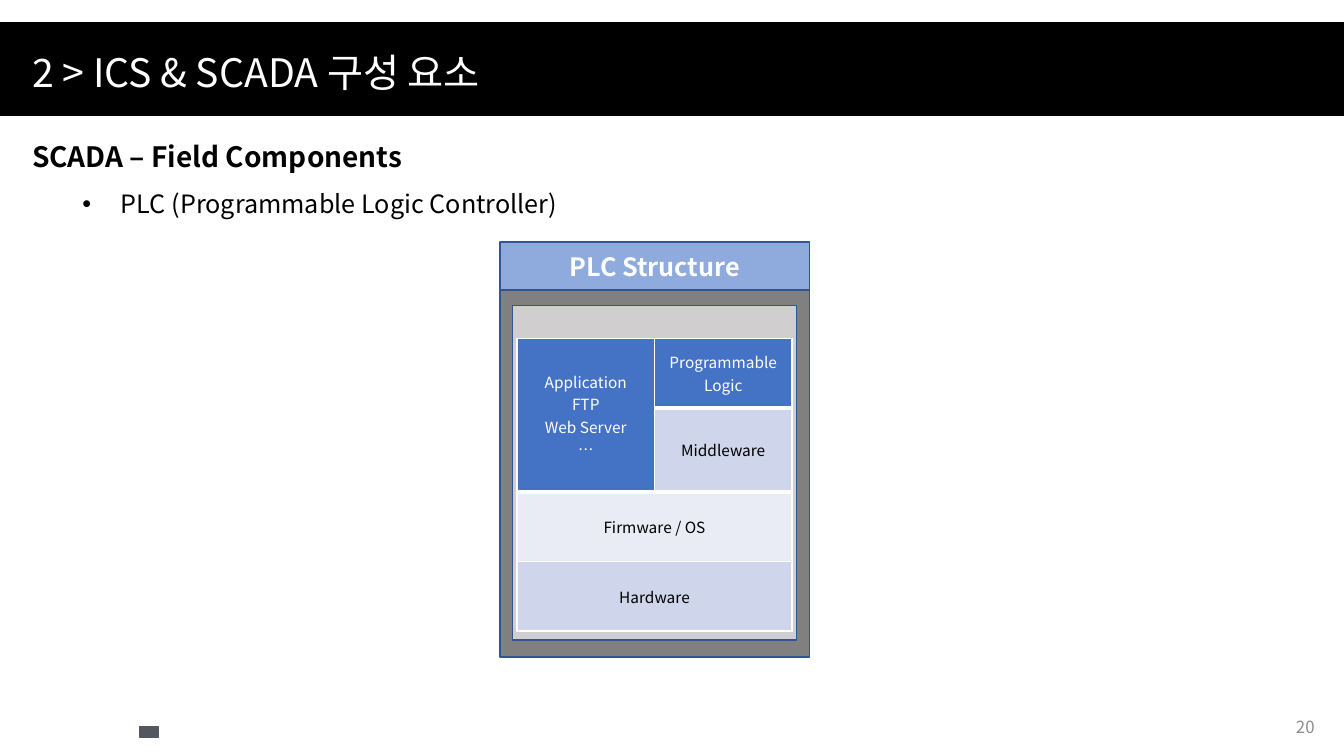
from dataclasses import dataclass

from lxml import etree
from pptx import Presentation
from pptx.dml.color import RGBColor
from pptx.enum.shapes import MSO_SHAPE
from pptx.enum.text import MSO_ANCHOR, PP_ALIGN
from pptx.oxml.ns import qn
from pptx.util import Cm, Pt

RECT = MSO_SHAPE.RECTANGLE
TOP, MIDDLE = MSO_ANCHOR.TOP, MSO_ANCHOR.MIDDLE
LEFT, CENTER, RIGHT = PP_ALIGN.LEFT, PP_ALIGN.CENTER, PP_ALIGN.RIGHT


@dataclass(frozen=True)
class Theme:
    font: str = "Noto Sans CJK KR"
    black: str = "000000"
    white: str = "FFFFFF"
    page_number: str = "8C8C8C"
    footer_mark: str = "53575F"
    outline: str = "325491"
    header: str = "8FAADC"
    casing: str = "808080"
    panel: str = "D0CECE"
    accent: str = "4472C4"
    band: str = "CFD5EA"
    light_band: str = "E9EBF5"
    title_size: int = 28
    heading_size: int = 20
    body_size: int = 18
    number_size: int = 12
    cell_size: int = 11


THEME = Theme()


def color(value):
    return RGBColor.from_string(value)


def add_span(para, text, size, ink, bold=False):
    span = para.add_run()
    span.text = text
    font = span.font
    font.name = THEME.font
    font.size = Pt(size)
    font.bold = bold
    font.color.rgb = color(ink)
    east_asian = etree.Element(qn("a:ea"), typeface=THEME.font)
    font._element.find(qn("a:latin")).addnext(east_asian)


def add_box(page, box, fill, line):
    shape = page.shapes.add_shape(RECT, *map(Cm, box))
    shape.shadow.inherit = False
    shape.fill.solid()
    shape.fill.fore_color.rgb = color(fill)
    shape.line.color.rgb = color(line)
    shape.line.width = Pt(1)
    return shape


def add_text_frame(page, box, anchor=TOP):
    frame = page.shapes.add_textbox(*map(Cm, box)).text_frame
    frame.word_wrap = True
    frame.vertical_anchor = anchor
    return frame


def add_bullet(para, left, hanging):
    para.level = 1
    para.line_spacing = 1.5
    properties = para._p.get_or_add_pPr()
    properties.set("marL", str(Cm(left)))
    properties.set("indent", str(-Cm(hanging)))
    etree.SubElement(properties, qn("a:buFont"), typeface="Arial")
    etree.SubElement(properties, qn("a:buChar"), char="•")


def set_borders(cell, bottom_width):
    properties = cell._tc.get_or_add_tcPr()
    widths = {"a:lnL": 1, "a:lnR": 1, "a:lnT": 1, "a:lnB": bottom_width}
    for index, (side, width) in enumerate(widths.items()):
        line = etree.Element(qn(side), w=str(Pt(width)))
        fill = etree.SubElement(line, qn("a:solidFill"))
        etree.SubElement(fill, qn("a:srgbClr"), val=THEME.white)
        properties.insert(index, line)


def title_bar(page, box):
    left, top, width, height = box
    add_box(page, box, THEME.black, THEME.black)
    frame = add_text_frame(page, (left + 0.56, top + 0.51, 23, 1.45))
    add_span(frame.paragraphs[0], "2 > ICS & SCADA 구성 요소",
             THEME.title_size, THEME.white)


def body_text(page, box):
    frame = add_text_frame(page, box)
    add_span(frame.paragraphs[0], "SCADA – Field Components",
             THEME.heading_size, THEME.black, bold=True)
    para = frame.add_paragraph()
    add_bullet(para, 2.24, 0.97)
    add_span(para, "PLC (Programmable Logic Controller)",
             THEME.body_size, THEME.black)


def layer_table(page, box):
    left, top, width, height = map(Cm, box)
    table = page.shapes.add_table(4, 2, left, top, width, height).table
    table.first_row = table.horz_banding = False
    for row, row_height in zip(table.rows, (1.75, 1.78, 1.75, 1.75)):
        row.height = Cm(row_height)
    for row_index in range(4):
        for cell in table.rows[row_index].cells:
            set_borders(cell, 3 if row_index == 0 else 1)

    layers = (
        # first cell, last cell, lines, fill, ink
        ((0, 0), (1, 0), ("Application", "FTP", "Web Server", "…"),
         THEME.accent, THEME.white),
        ((0, 1), (0, 1), ("Programmable Logic",), THEME.accent, THEME.white),
        ((1, 1), (1, 1), ("Middleware",), THEME.band, THEME.black),
        ((2, 0), (2, 1), ("Firmware / OS",), THEME.light_band, THEME.black),
        ((3, 0), (3, 1), ("Hardware",), THEME.band, THEME.black),
    )
    for first, last, lines, fill, ink in layers:
        cell = table.cell(*first)
        if first != last:
            cell.merge(table.cell(*last))
        cell.fill.solid()
        cell.fill.fore_color.rgb = color(fill)
        cell.vertical_anchor = MIDDLE
        frame = cell.text_frame
        for index, text in enumerate(lines):
            para = frame.add_paragraph() if index else frame.paragraphs[0]
            para.alignment = CENTER
            add_span(para, text, THEME.cell_size, ink)


def plc_structure(page, box):
    left, top, width, height = box
    header_height = 1.21
    casing_top = top + header_height
    add_box(page, (left, casing_top, width, height - header_height),
            THEME.casing, THEME.outline)
    add_box(page, (left + 0.32, casing_top + 0.39, 7.16, 8.43),
            THEME.panel, THEME.outline)
    layer_table(page, (left + 0.43, casing_top + 1.22, 6.93, 7.03))
    header = add_box(page, (left, top, width, header_height),
                     THEME.header, THEME.outline)
    frame = header.text_frame
    frame.vertical_anchor = MIDDLE
    para = frame.paragraphs[0]
    para.alignment = CENTER
    add_span(para, "PLC Structure", THEME.body_size, THEME.white, bold=True)


def footer(page, box):
    left, top, width, height = box
    add_box(page, (left + 3.53, top + 0.5, 0.46, 0.28),
            THEME.footer_mark, THEME.footer_mark)
    number_width = 7.62
    frame = add_text_frame(
        page, (left + width - number_width, top, number_width, height), MIDDLE)
    para = frame.paragraphs[0]
    para.alignment = RIGHT
    add_span(para, "20", THEME.number_size, THEME.page_number)


def main():
    deck = Presentation()
    deck.slide_width, deck.slide_height = Cm(33.87), Cm(19.05)
    page = deck.slides.add_slide(deck.slide_layouts[6])
    footer(page, (0, 17.81, 33.38, 1.02))
    title_bar(page, (0, 0.58, 33.87, 2.34))
    body_text(page, (0.56, 3.4, 30.56, 3.3))
    plc_structure(page, (12.6, 6.1, 7.8, 10.46))
    deck.save("out.pptx")


if __name__ == "__main__":
    main()
